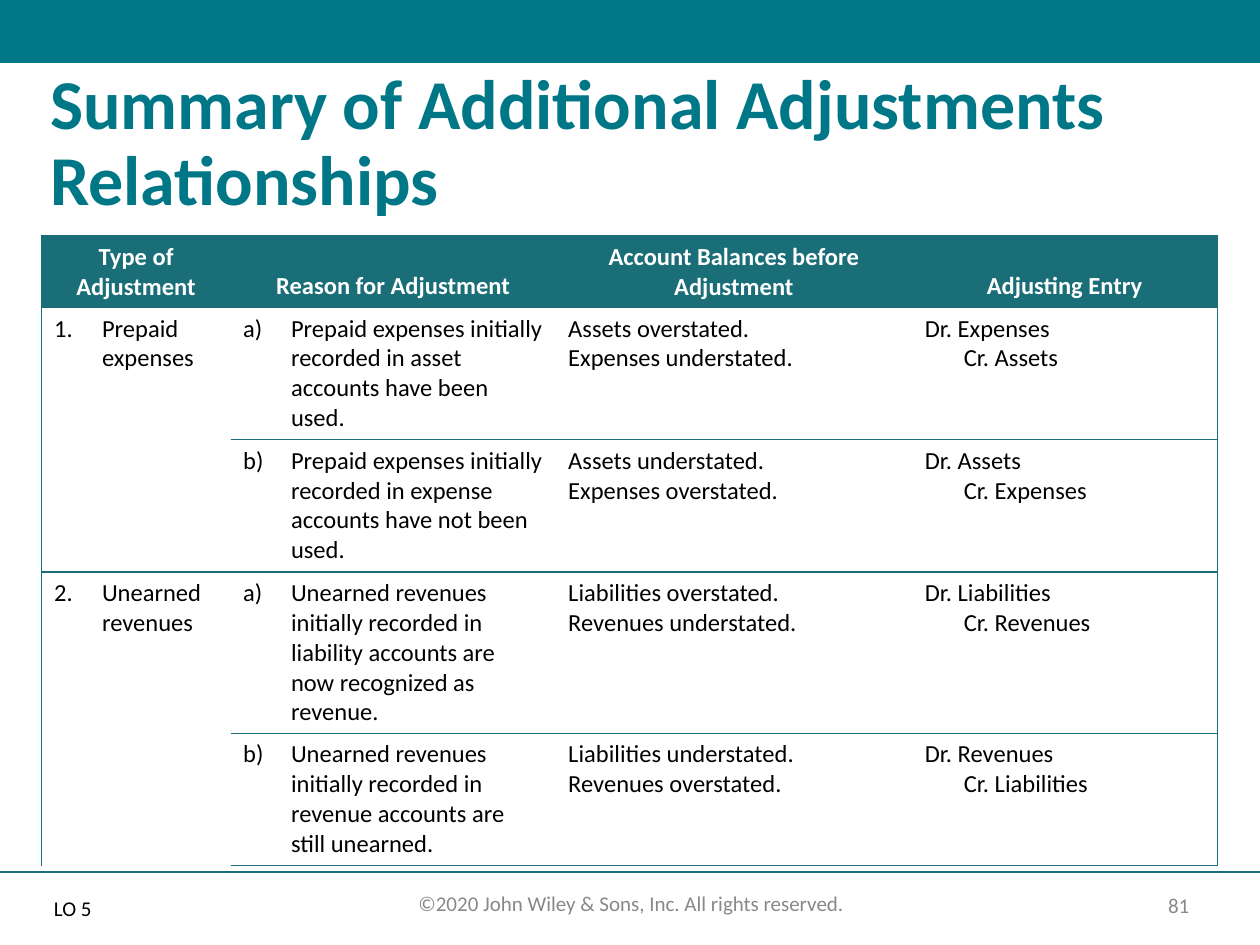
import pptx
import pptx.util
import pptx.dml.color
import pptx.enum.shapes
import pptx.enum.text
import pptx.oxml.ns
import lxml.etree
from dataclasses import dataclass

Inches, Pt = pptx.util.Inches, pptx.util.Pt
RGB = pptx.dml.color.RGBColor.from_string
ALIGN, ANCHOR = pptx.enum.text.PP_ALIGN, pptx.enum.text.MSO_ANCHOR
qn = pptx.oxml.ns.qn


@dataclass(frozen=True)
class Theme:
    font: str = "Calibri"
    accent: str = "007787"
    table: str = "196E78"
    ink: str = "000000"
    white: str = "FFFFFF"
    muted: str = "888888"
    title_size: int = 40
    table_size: int = 14
    footer_size: int = 12
    rule: float = 1
    border: float = 0.75
    plain_table_style: str = "{2D5ABB26-0587-4C30-8999-92F81FD0307C}"


THEME = Theme()

TITLE = "Summary of Additional Adjustments Relationships"
LEARNING_OBJECTIVE = "LO 5"
COPYRIGHT = "©2020 John Wiley & Sons, Inc. All rights reserved."
PAGE = "81"

HEADINGS = ["Type of Adjustment", "Reason for Adjustment",
            "Account Balances before Adjustment", "Adjusting Entry"]
# Each adjustment type has cases: (reason, balances, (debit, credit))
ADJUSTMENTS = [
    ("Prepaid expenses", [
        ("Prepaid expenses initially recorded in asset accounts have been used.",
         ["Assets overstated.", "Expenses understated."],
         ("Dr. Expenses", "Cr. Assets")),
        ("Prepaid expenses initially recorded in expense accounts have not been used.",
         ["Assets understated.", "Expenses overstated."],
         ("Dr. Assets", "Cr. Expenses")),
    ]),
    ("Unearned revenues", [
        ("Unearned revenues initially recorded in liability accounts are now "
         "recognized as revenue.",
         ["Liabilities overstated.", "Revenues understated."],
         ("Dr. Liabilities", "Cr. Revenues")),
        ("Unearned revenues initially recorded in revenue accounts are still unearned.",
         ["Liabilities understated.", "Revenues overstated."],
         ("Dr. Revenues", "Cr. Liabilities")),
    ]),
]

COLUMN_WIDTHS = [1.5, 2.58, 2.83, 2.42]
ROW_HEIGHTS = [0.57, 1.05, 1.05, 1.28, 1.05]
NUMBER_INDENT, CREDIT_INDENT = 0.38, 0.31


def add_run(paragraph, text, size, color, bold=False):
    run = paragraph.add_run()
    run.text = text
    run.font.name, run.font.size, run.font.bold = THEME.font, Pt(size), bold
    run.font.color.rgb = RGB(color)


def add_text(slide, text, box, size, color, bold=False, align=ALIGN.LEFT,
             anchor=ANCHOR.TOP, spacing=None):
    frame = slide.shapes.add_textbox(*map(Inches, box)).text_frame
    frame.word_wrap = True
    frame.vertical_anchor = anchor
    paragraph = frame.paragraphs[0]
    paragraph.alignment = align
    paragraph.line_spacing = spacing
    add_run(paragraph, text, size, color, bold)


def indent(paragraph, left, first):
    properties = paragraph._p.get_or_add_pPr()
    properties.set("marL", str(Inches(left)))
    properties.set("indent", str(Inches(first)))
    return properties


def number(paragraph, scheme, start):
    properties = indent(paragraph, NUMBER_INDENT, -NUMBER_INDENT)
    lxml.etree.SubElement(properties, qn("a:buFont"), typeface="+mj-lt")
    lxml.etree.SubElement(properties, qn("a:buAutoNum"), type=scheme, startAt=str(start))


def write_lines(cell, lines):
    frame = cell.text_frame
    for i, line in enumerate(lines):
        paragraph = frame.paragraphs[0] if i == 0 else frame.add_paragraph()
        add_run(paragraph, line, THEME.table_size, THEME.ink)
    return frame.paragraphs


def style_cell(cell, fill, sides):
    """Draw borders on the named sides (L, R, T, B), then fill the cell."""
    properties = cell._tc.get_or_add_tcPr()
    for side in "LRTB":
        if side in sides:
            line = lxml.etree.SubElement(properties, qn(f"a:ln{side}"),
                                         w=str(Pt(THEME.border)))
            solid = lxml.etree.SubElement(line, qn("a:solidFill"))
            lxml.etree.SubElement(solid, qn("a:srgbClr"), val=THEME.table)
    if fill:
        cell.fill.solid()
        cell.fill.fore_color.rgb = RGB(fill)
    else:
        cell.fill.background()


def add_adjustments_table(slide):
    rows, columns = len(ROW_HEIGHTS), len(COLUMN_WIDTHS)
    table = slide.shapes.add_table(
        rows, columns, Inches(0.33), Inches(1.87),
        Inches(sum(COLUMN_WIDTHS)), Inches(sum(ROW_HEIGHTS))).table
    table._tbl.tblPr.find(qn("a:tableStyleId")).text = THEME.plain_table_style
    table.horz_banding = False
    for column, width in zip(table.columns, COLUMN_WIDTHS):
        column.width = Inches(width)
    for row, height in zip(table.rows, ROW_HEIGHTS):
        row.height = Inches(height)

    for c, heading in enumerate(HEADINGS):
        cell = table.cell(0, c)
        cell.vertical_anchor = ANCHOR.BOTTOM
        paragraph = cell.text_frame.paragraphs[0]
        paragraph.alignment = ALIGN.CENTER
        add_run(paragraph, heading, THEME.table_size, THEME.white, bold=True)

    group_starts, r = [], 1
    for group, (kind, cases) in enumerate(ADJUSTMENTS, 1):
        group_starts.append(r)
        table.cell(r, 0).merge(table.cell(r + len(cases) - 1, 0))
        number(write_lines(table.cell(r, 0), [kind])[0], "arabicPeriod", group)
        for case, (reason, balances, entry) in enumerate(cases, 1):
            number(write_lines(table.cell(r, 1), [reason])[0], "alphaLcParenR", case)
            write_lines(table.cell(r, 2), balances)
            indent(write_lines(table.cell(r, 3), entry)[1], 0, CREDIT_INDENT)
            r += 1

    group_ends = [start - 1 for start in group_starts[1:]] + [rows - 1]
    for r in range(rows):
        for c in range(columns):
            sides = {"L": c == 0, "R": c == columns - 1,
                     "T": r == 0 or r in group_starts, "B": r in group_ends}
            style_cell(table.cell(r, c), THEME.table if r == 0 else None,
                       [side for side, drawn in sides.items() if drawn])


def add_frame(slide):
    band = slide.shapes.add_shape(pptx.enum.shapes.MSO_SHAPE.RECTANGLE,
                                  0, 0, Inches(10), Inches(0.5))
    band.shadow.inherit = False
    band.fill.solid()
    band.fill.fore_color.rgb = RGB(THEME.accent)
    band.line.fill.background()
    rule = slide.shapes.add_connector(pptx.enum.shapes.MSO_CONNECTOR.STRAIGHT,
                                      0, Inches(6.92), Inches(10), Inches(6.92))
    rule.line.color.rgb = RGB(THEME.table)
    rule.line.width = Pt(THEME.rule)
    lxml.etree.SubElement(rule._element.spPr, qn("a:effectLst"))
    add_text(slide, COPYRIGHT, (2.84, 7.02, 4.34, 0.3), THEME.footer_size,
             THEME.muted, align=ALIGN.CENTER)
    add_text(slide, PAGE, (9.05, 7.04, 0.61, 0.28), THEME.footer_size,
             THEME.muted, align=ALIGN.CENTER, anchor=ANCHOR.MIDDLE)


def main():
    deck = pptx.Presentation()
    deck.slide_width, deck.slide_height = Inches(10), Inches(7.5)
    slide = deck.slides.add_slide(deck.slide_layouts[6])
    add_frame(slide)
    add_text(slide, TITLE, (0.3, 0.5, 9.36, 1.27), THEME.title_size,
             THEME.accent, bold=True, spacing=0.9)
    add_adjustments_table(slide)
    add_text(slide, LEARNING_OBJECTIVE, (0.33, 7.08, 0.67, 0.33),
             THEME.footer_size, THEME.ink, spacing=0.9)
    deck.save("out.pptx")


if __name__ == "__main__":
    main()
